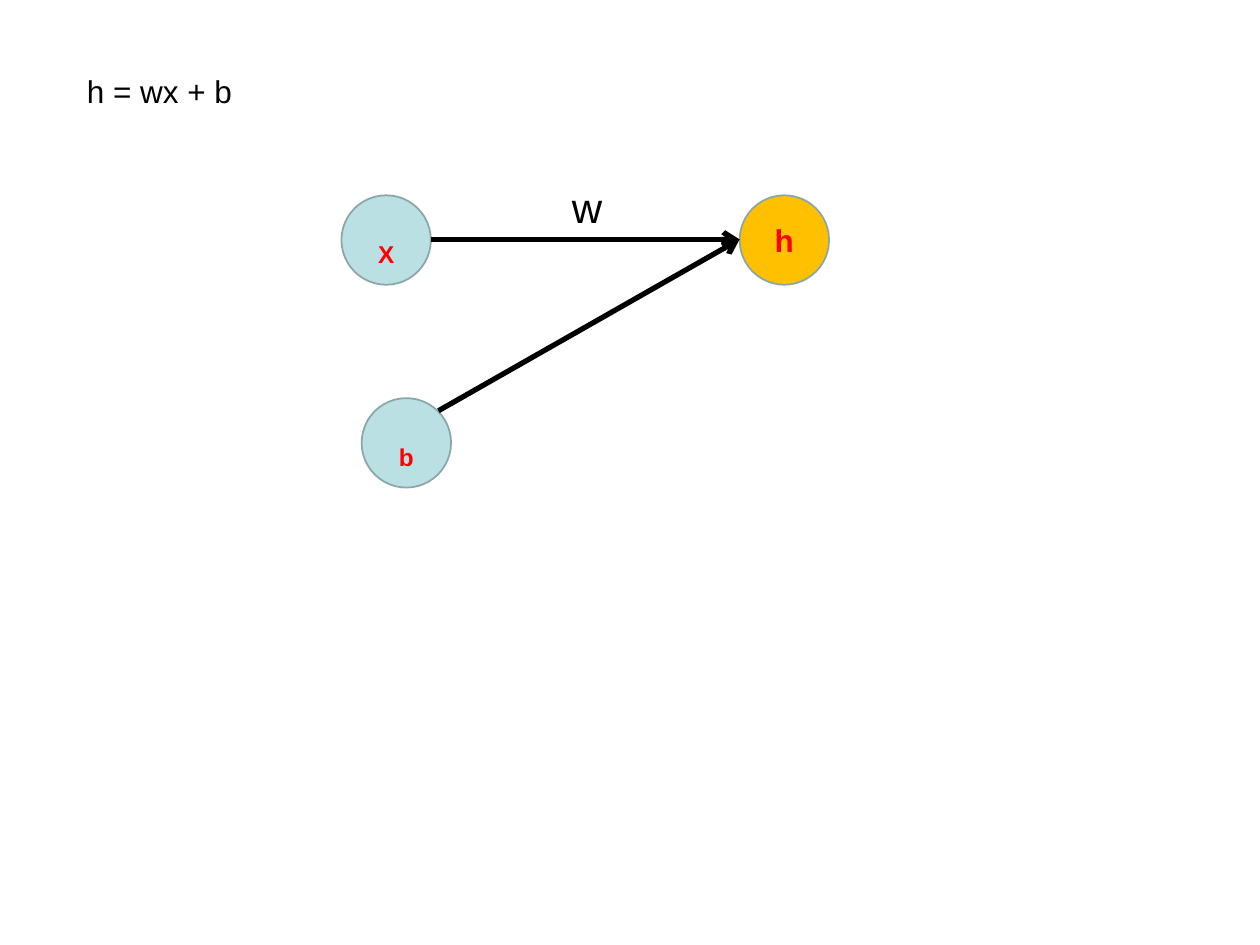
from pptx import Presentation
from pptx.dml.color import RGBColor
from pptx.enum.shapes import MSO_CONNECTOR as Link, MSO_SHAPE as Shape
from pptx.enum.text import MSO_ANCHOR as Anchor, PP_ALIGN as Align
from pptx.oxml.ns import qn
from pptx.util import Inches, Pt
from lxml.etree import SubElement

SIZE = 0.71
ROW = 1.55
MID = 1.9


def color(code):
    """Turn a hex string into a colour."""
    return RGBColor.from_string(code)


def write(frame, text, size, hue, bold=False):
    """Put one line of styled text in a frame and return its run."""
    par = frame.paragraphs[0]
    run = par.add_run()
    run.text = text
    font = par.font
    font.name, font.size, font.bold = "Arial", Pt(size), bold
    font.color.rgb = color(hue)
    return run


def add_node(slide, text, left, top, fill, size, sub=False):
    """Draw a round node with a red letter, lowered if sub is set."""
    node = slide.shapes.add_shape(
        Shape.OVAL, Inches(left), Inches(top), Inches(SIZE), Inches(SIZE))
    node.shadow.inherit = False
    node.fill.solid()
    node.fill.fore_color.rgb = color(fill)
    node.line.color.rgb = color("8AA6A8")
    node.line.width = Pt(1)
    frame = node.text_frame
    frame.vertical_anchor = Anchor.MIDDLE
    run = write(frame, text, size, "FF0000", True)
    frame.paragraphs[0].alignment = Align.CENTER
    if sub:
        run.font._element.set("baseline", "-25000")


def add_label(slide, text, left, top, width, height, size):
    """Add a plain one-line text box."""
    box = slide.shapes.add_textbox(
        Inches(left), Inches(top), Inches(width), Inches(height))
    box.text_frame.word_wrap = False
    write(box.text_frame, text, size, "000000")


def add_arrow(slide, start, end):
    """Draw a thick black arrow between two points."""
    ends = [Inches(n) for n in (*start, *end)]
    arrow = slide.shapes.add_connector(Link.STRAIGHT, *ends)
    arrow.line.color.rgb = color("000000")
    arrow.line.width = Pt(3)
    SubElement(arrow.line._get_or_add_ln(), qn("a:tailEnd"), type="arrow")
    SubElement(arrow._element.spPr, qn("a:effectLst"))


def main():
    """Build the slide of a linear neuron."""
    deck = Presentation()
    deck.slide_width, deck.slide_height = Inches(10), Inches(7.5)
    slide = deck.slides.add_slide(deck.slide_layouts[6])

    add_node(slide, "X", 2.71, ROW, "BBE0E3", 24, sub=True)
    add_node(slide, "h", 5.87, ROW, "FFC000", 18)
    add_node(slide, "b", 2.87, 3.16, "BBE0E3", 24, sub=True)
    for start in ((2.71 + SIZE, MID), (3.48, 3.26)):
        add_arrow(slide, start, (5.87, MID))
    add_label(slide, "w", 4.44, 1.39, 0.44, 0.5, 24)
    add_label(slide, "h = wx + b", 0.59, 0.52, 1.35, 0.4, 18)

    deck.save("out.pptx")


main()
